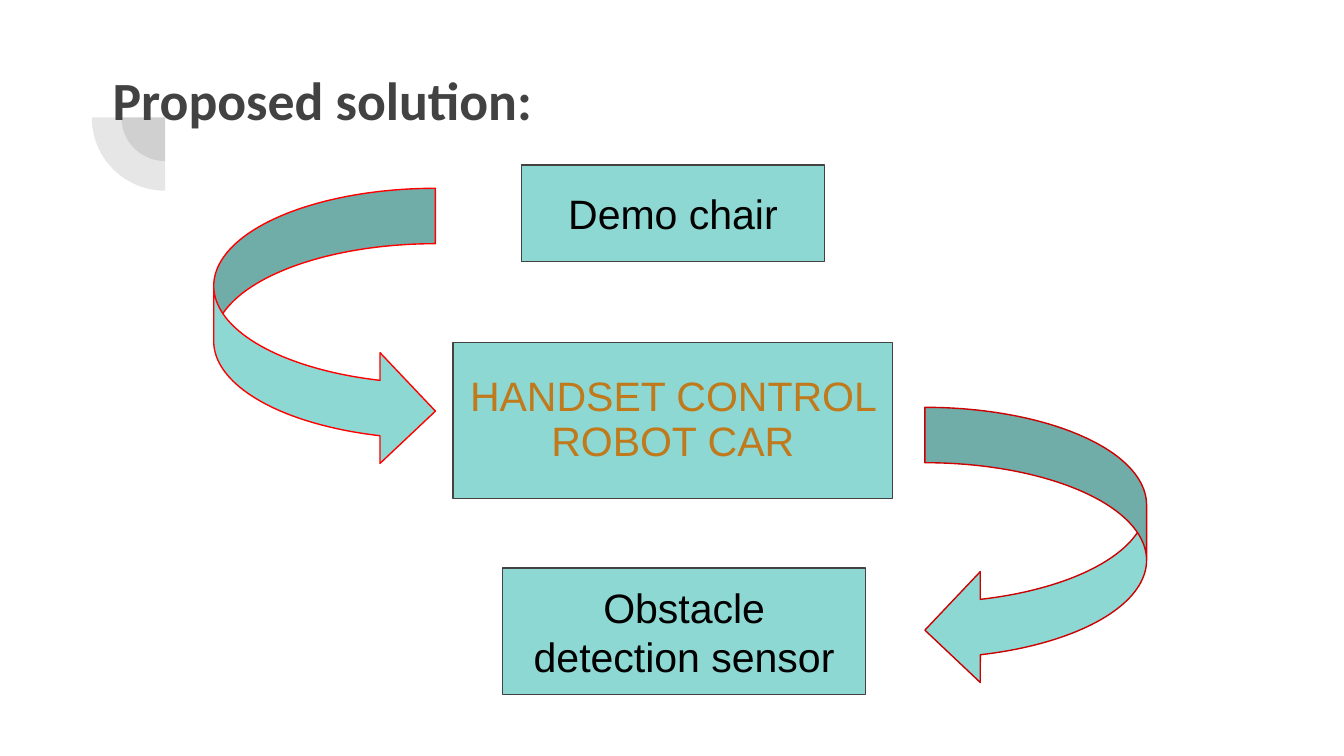
from dataclasses import dataclass

from lxml import etree
from pptx import Presentation
from pptx import util as u
from pptx.dml.color import RGBColor
from pptx.enum import shapes, text
from pptx.oxml.ns import qn


@dataclass(frozen=True)
class Theme:
    ink: str = "424242"
    teal: str = "8DD8D3"
    black: str = "000000"
    ochre: str = "C0791B"
    red: str = "FF0000"
    dark_red: str = "CC0000"
    title_font: str = "Calibri"
    body_font: str = "Arial"
    title_size: float = 28.8
    body_size: float = 22
    line_width: float = 0.75
    inset: float = 0.25


@dataclass(frozen=True)
class Stage:
    label: str
    left: float
    top: float
    width: float
    height: float
    color: str
    spacing: float = 1.0


@dataclass(frozen=True)
class Turn:
    kind: shapes.MSO_SHAPE
    left: float
    top: float
    color: str


THEME = Theme()
TURN_SIZE = (4.19, 5.26)
PIE_CENTER = (3.12, 2.22)
PIE_DIAMETERS = (1.65, 2.77)

STAGES = (
    Stage("Demo chair", 9.86, 3.12, 5.72, 1.83, THEME.black),
    Stage("HANDSET CONTROL ROBOT CAR", 8.56, 6.48, 8.31, 2.95, THEME.ochre, 0.9),
    Stage("Obstacle detection sensor", 9.5, 10.74, 6.86, 2.39, THEME.black),
)
TURNS = (
    Turn(shapes.MSO_SHAPE.CURVED_RIGHT_ARROW, 4.04, 3.56, THEME.red),
    Turn(shapes.MSO_SHAPE.CURVED_LEFT_ARROW, 17.48, 7.7, THEME.dark_red),
)


def add_filled(slide, kind, left: float, top: float, width: float, height: float,
               fill: str, line: str | None = None):
    shape = slide.shapes.add_shape(kind, u.Cm(left), u.Cm(top), u.Cm(width), u.Cm(height))
    shape.shadow.inherit = False
    shape.fill.solid()
    shape.fill.fore_color.rgb = RGBColor.from_string(fill)
    if line:
        shape.line.color.rgb = RGBColor.from_string(line)
        shape.line.width = u.Pt(THEME.line_width)
    else:
        shape.line.fill.background()
    return shape


def write(shape, words: str, font: str, size: float, color: str, bold: bool = False):
    frame = shape.text_frame
    frame.word_wrap = True
    frame.margin_left = frame.margin_right = u.Cm(THEME.inset)
    frame.margin_top = frame.margin_bottom = u.Cm(THEME.inset)
    paragraph = frame.paragraphs[0]
    paragraph.text = words
    paragraph.font.name = font
    paragraph.font.size = u.Pt(size)
    paragraph.font.bold = bold
    paragraph.font.color.rgb = RGBColor.from_string(color)
    return paragraph


def add_quarter(slide, diameter: float) -> None:
    left, top = (c - diameter / 2 for c in PIE_CENTER)
    pie = add_filled(slide, shapes.MSO_SHAPE.PIE, left, top, diameter, diameter, THEME.ink)
    pie.adjustments[0], pie.adjustments[1] = 108, 162
    pie.rotation = 270
    tint = pie.fill._xPr.find(qn("a:solidFill"))[0]
    etree.SubElement(tint, qn("a:alpha")).set("val", "13000")


def add_title(slide, words: str) -> None:
    title = slide.shapes.add_textbox(u.Cm(1.88), u.Cm(1.02), u.Cm(10.82), u.Cm(1.42))
    write(title, words, THEME.title_font, THEME.title_size, THEME.ink, bold=True)


def add_stage(slide, stage: Stage) -> None:
    box = add_filled(slide, shapes.MSO_SHAPE.RECTANGLE, stage.left, stage.top,
                     stage.width, stage.height, THEME.teal, THEME.ink)
    box.text_frame.vertical_anchor = text.MSO_ANCHOR.MIDDLE
    label = write(box, stage.label, THEME.body_font, THEME.body_size, stage.color)
    label.alignment = text.PP_ALIGN.CENTER
    label.line_spacing = stage.spacing


def main() -> None:
    deck = Presentation()
    deck.slide_width, deck.slide_height = u.Cm(25.4), u.Cm(14.29)
    slide = deck.slides.add_slide(deck.slide_layouts[6])

    # Corner ornament and title
    for diameter in PIE_DIAMETERS:
        add_quarter(slide, diameter)
    add_title(slide, "Proposed solution:")

    # Stages and the arrows that lead from one to the next
    for stage in STAGES:
        add_stage(slide, stage)
    for turn in TURNS:
        add_filled(slide, turn.kind, turn.left, turn.top, *TURN_SIZE, THEME.teal, turn.color)

    deck.save("out.pptx")


if __name__ == "__main__":
    main()
